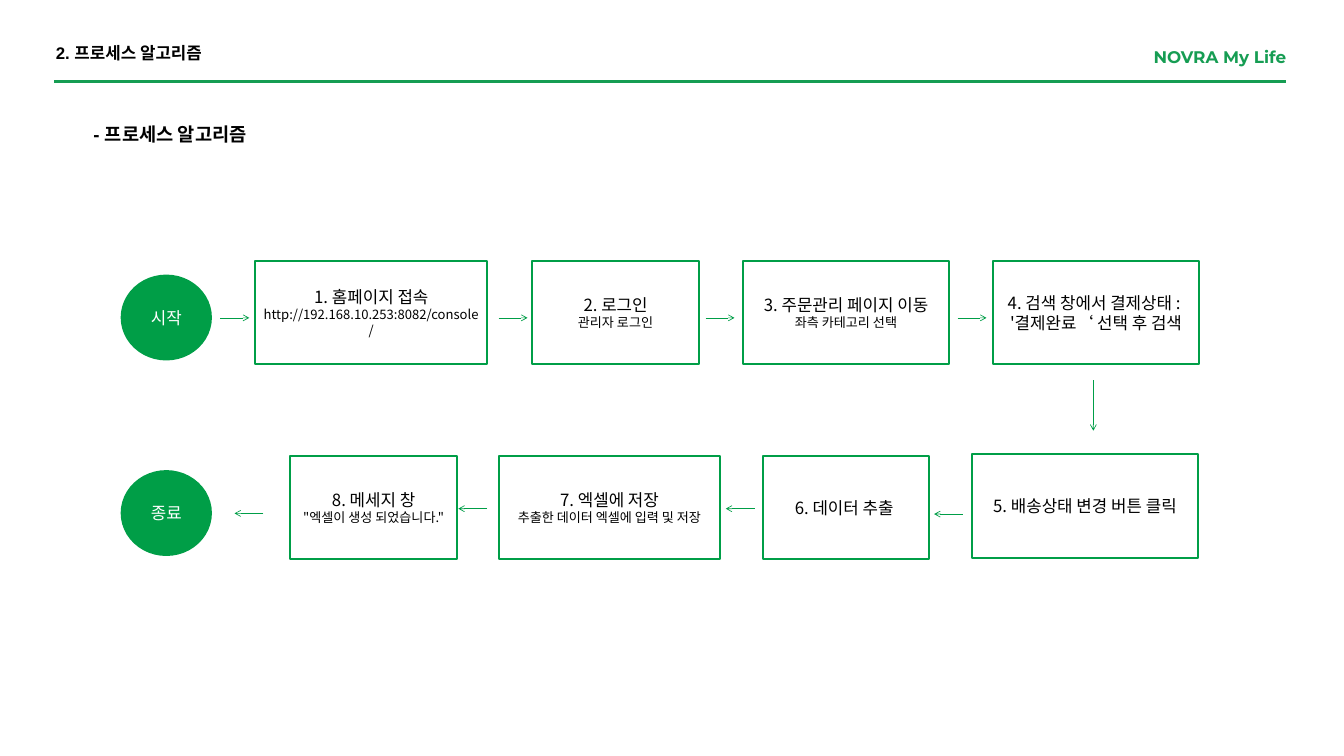
from lxml import etree
from pptx import Presentation
from pptx.dml.color import RGBColor
from pptx.enum import shapes, text
from pptx.oxml import ns
from pptx.util import Inches, Pt

GREEN, BRAND_GREEN, WHITE, BLACK = "009E47", "169D53", "FFFFFF", "000000"
KOREAN = "Noto Sans CJK KR"


def rgb(value):
    return RGBColor.from_string(value)


def add_line(x1, y1, x2, y2, color, weight, arrow=True):
    line = slide.shapes.add_connector(
        shapes.MSO_CONNECTOR.STRAIGHT, Inches(x1), Inches(y1), Inches(x2), Inches(y2))
    line.line.color.rgb = rgb(color)
    line.line.width = Pt(weight)
    if arrow:
        etree.SubElement(line.line._get_or_add_ln(), ns.qn("a:tailEnd"), type="arrow")
    etree.SubElement(line._element.spPr, ns.qn("a:effectLst"))


prs = Presentation()
prs.slide_width, prs.slide_height = Inches(20), Inches(11.25)
slide = prs.slides.add_slide(prs.slide_layouts[6])

add_line(0.81, 1.21, 19.14, 1.21, BRAND_GREEN, 3, arrow=False)

headings = [
    ("NOVRA My Life", 16.8, 0.65, 2.34, 18, "Montserrat", BRAND_GREEN, text.PP_ALIGN.RIGHT),
    ("2. 프로세스 알고리즘", 0.83, 0.59, 3.58, 18, "Arial", BLACK, text.PP_ALIGN.JUSTIFY),
    ("- 프로세스 알고리즘", 1.39, 1.81, 7.16, 20, "Arial", BLACK, text.PP_ALIGN.JUSTIFY),
]
for words, left, top, width, size, font, color, align in headings:
    heading = slide.shapes.add_textbox(Inches(left), Inches(top), Inches(width), Inches(0.35))
    frame = heading.text_frame
    frame.word_wrap = True
    frame.margin_left = frame.margin_right = frame.margin_top = frame.margin_bottom = 0
    paragraph = frame.paragraphs[0]
    paragraph.text = words
    paragraph.alignment = align
    paragraph.line_spacing = Pt(25.2)
    paragraph.font.name = font
    paragraph.font.size = Pt(size)
    paragraph.font.bold = True
    paragraph.font.color.rgb = rgb(color)

terminal, process = shapes.MSO_SHAPE.OVAL, shapes.MSO_SHAPE.FLOWCHART_PROCESS
steps = [
    (terminal, 1.81, 4.1, 1.33, [["시작"]]),
    (process, 3.8, 3.88, 3.45, [["1. 홈페이지 접속 ", "http://192.168.10.253:8082/console/"]]),
    (process, 7.92, 3.88, 2.48, [["2. 로그인"], ["관리자 로그인"]]),
    (process, 11.06, 3.88, 3.06, [["3. 주문관리 페이지 이동"], ["좌측 카테고리 선택"]]),
    (process, 14.78, 3.88, 3.06, [["4. 검색 창에서 결제상태 :  '결제완료‘ 선택 후 검색"]]),
    (process, 14.46, 6.76, 3.37, [["5. 배송상태 변경 버튼 클릭"]]),
    (process, 11.35, 6.78, 2.48, [["6. 데이터 추출 "]]),
    (process, 7.42, 6.78, 3.3, [["7. 엑셀에 저장"], ["추출한 데이터 엑셀에 입력 및 저장"]]),
    (process, 4.32, 6.78, 2.48, [["8. 메세지 창"], ["\"엑셀이 생성 되었습니다.\""]]),
    (terminal, 1.81, 7.01, 1.33, [["종료"]]),
]
for kind, left, top, width, paragraphs in steps:
    height, fill, ink = (1.25, GREEN, WHITE) if kind == terminal else (1.54, WHITE, BLACK)
    step = slide.shapes.add_shape(kind, Inches(left), Inches(top), Inches(width), Inches(height))
    step.shadow.inherit = False
    step.fill.solid()
    step.fill.fore_color.rgb = rgb(fill)
    step.line.color.rgb = rgb(GREEN)
    step.line.width = Pt(2)
    frame = step.text_frame
    frame.word_wrap = True
    frame.vertical_anchor = text.MSO_ANCHOR.MIDDLE
    size = 18
    for index, pieces in enumerate(paragraphs):
        paragraph = frame.add_paragraph() if index else frame.paragraphs[0]
        paragraph.alignment = text.PP_ALIGN.CENTER
        paragraph.font.color.rgb = rgb(ink)
        paragraph.font.name = KOREAN
        etree.SubElement(paragraph.font._element, ns.qn("a:ea"), typeface=KOREAN)
        for words in pieces:
            run = paragraph.add_run()
            run.text = words
            run.font.size = Pt(size)
            size = 14

for left in (3.28, 7.42, 10.5, 14.25):
    add_line(left, 4.73, left + 0.43, 4.73, GREEN, 0.75)
add_line(16.27, 5.66, 16.27, 6.41, GREEN, 0.75)
for left, y in ((13.9, 7.65), (10.8, 7.57), (6.82, 7.57), (3.49, 7.64)):
    add_line(left + 0.43, y, left, y, GREEN, 0.75)

prs.save("out.pptx")
